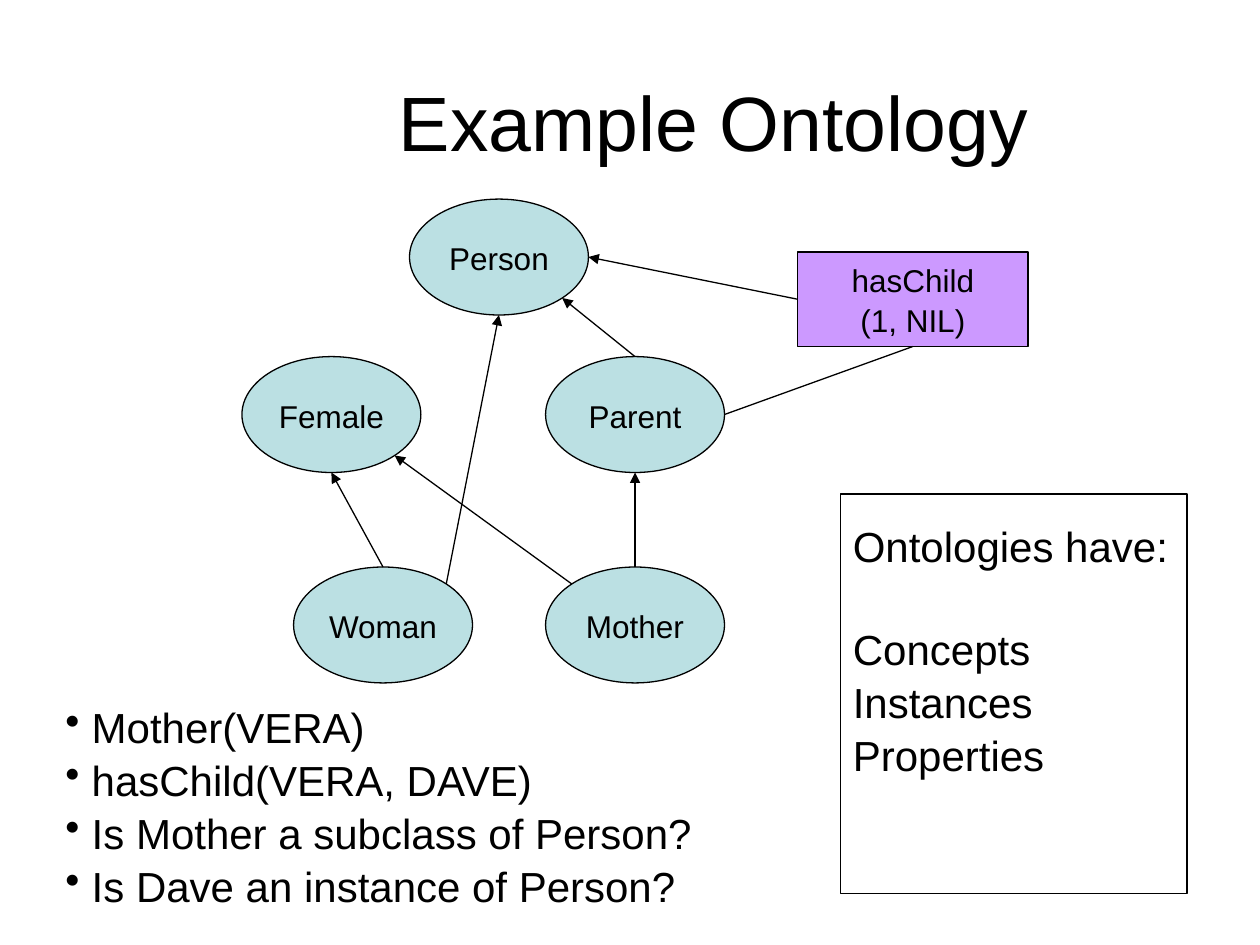
from dataclasses import dataclass
from math import sqrt

from lxml import etree
from pptx import Presentation
from pptx.dml.color import RGBColor
from pptx.enum.shapes import MSO_CONNECTOR, MSO_SHAPE
from pptx.enum.text import MSO_ANCHOR, PP_ALIGN
from pptx.oxml.ns import qn
from pptx.util import Inches, Pt

OVAL, RECTANGLE = MSO_SHAPE.OVAL, MSO_SHAPE.RECTANGLE
STRAIGHT = MSO_CONNECTOR.STRAIGHT
MIDDLE, TOP = MSO_ANCHOR.MIDDLE, MSO_ANCHOR.TOP
CENTER, LEFT = PP_ALIGN.CENTER, PP_ALIGN.LEFT


@dataclass(frozen=True)
class Theme:
    font: str = "Arial"
    ink: RGBColor = RGBColor(0x00, 0x00, 0x00)
    concept: RGBColor = RGBColor(0xBB, 0xE0, 0xE3)
    relation: RGBColor = RGBColor(0xCC, 0x99, 0xFF)
    title_size: int = 44
    body_size: int = 24
    label_size: int = 18
    line_width: float = 0.75
    line_spacing: float = 1.05


THEME = Theme()
CONCEPT_SIZE = (1.42, 0.92)
CONCEPTS = {
    "Person": (3.25, 1.58),
    "Female": (1.92, 2.83),
    "Woman": (2.33, 4.5),
    "Mother": (4.33, 4.5),
    "Parent": (4.33, 2.83),
}
# Directions from the centre of an ellipse to its connection points
DIAGONAL = 1 / sqrt(2)
SITES = {
    "top": (0, -1),
    "bottom": (0, 1),
    "right": (1, 0),
    "top left": (-DIAGONAL, -DIAGONAL),
    "top right": (DIAGONAL, -DIAGONAL),
    "bottom right": (DIAGONAL, DIAGONAL),
}
SUBCLASS_ARROWS = [
    ("Mother", "top left", "Female", "bottom right"),
    ("Mother", "top", "Parent", "bottom"),
    ("Woman", "top", "Female", "bottom"),
    ("Woman", "top right", "Person", "bottom"),
    ("Parent", "top", "Person", "bottom right"),
]
RECT_LEFT, RECT_BOTTOM = 1, 2


def write_lines(shape, lines, size, align=LEFT, anchor=MIDDLE, wrap=True):
    frame = shape.text_frame
    frame.word_wrap = wrap
    frame.vertical_anchor = anchor
    frame.text = "\n".join(lines)
    for para in frame.paragraphs:
        para.alignment = align
        para.line_spacing = THEME.line_spacing
        para.font.name = THEME.font
        para.font.size = Pt(size)
        para.font.color.rgb = THEME.ink
    return frame


def add_outlined(page, kind, box, fill=None):
    shape = page.shapes.add_shape(kind, *map(Inches, box))
    shape.shadow.inherit = False
    if fill is None:
        shape.fill.background()
    else:
        shape.fill.solid()
        shape.fill.fore_color.rgb = fill
    shape.line.color.rgb = THEME.ink
    shape.line.width = Pt(THEME.line_width)
    return shape


def add_link(page, start, end, arrow=True):
    link = page.shapes.add_connector(STRAIGHT, *map(Inches, (*start, *end)))
    link.line.color.rgb = THEME.ink
    link.line.width = Pt(THEME.line_width)
    if arrow:
        line = link.line._get_or_add_ln()
        etree.SubElement(line, qn("a:tailEnd"), type="triangle")
    etree.SubElement(link._element.spPr, qn("a:effectLst"))
    return link


def site_point(concept, site):
    """Return the place, in inches, of a connection point on a concept."""
    return tuple(
        start + length / 2 * (1 + step)
        for start, length, step in zip(CONCEPTS[concept], CONCEPT_SIZE, SITES[site])
    )


def add_title(page, box):
    title = page.shapes.add_textbox(*map(Inches, box))
    write_lines(title, ["Example Ontology"], THEME.title_size, CENTER)


def add_concept_graph(page):
    for name, corner in CONCEPTS.items():
        oval = add_outlined(page, OVAL, (*corner, *CONCEPT_SIZE), THEME.concept)
        write_lines(oval, [name], THEME.label_size, CENTER, wrap=False)
    for child, child_site, parent, parent_site in SUBCLASS_ARROWS:
        add_link(page, site_point(child, child_site), site_point(parent, parent_site))


def add_relation(page, box):
    """Add the hasChild box and its links to Parent and Person."""
    left, top, width, height = box
    relation = add_outlined(page, RECTANGLE, box, THEME.relation)
    write_lines(relation, ["hasChild", "(1, NIL)"], THEME.label_size, CENTER, wrap=False)
    domain = add_link(page, site_point("Parent", "right"),
                      (left + width / 2, top + height), arrow=False)
    domain.end_connect(relation, RECT_BOTTOM)
    target = add_link(page, (left, top + height / 2), site_point("Person", "right"))
    target.begin_connect(relation, RECT_LEFT)


def add_facts(page, box):
    facts = page.shapes.add_textbox(*map(Inches, box))
    lines = [
        "Mother(VERA)",
        "hasChild(VERA, DAVE)",
        "Is Mother a subclass of Person?",
        "Is Dave an instance of Person?",
    ]
    frame = write_lines(facts, lines, THEME.body_size, anchor=TOP)
    indent = Inches(0.21)
    for para in frame.paragraphs:
        props = para._p.get_or_add_pPr()
        props.set("marL", str(indent))
        props.set("indent", str(-indent))
        bullet = etree.Element(qn("a:buChar"), char="•")
        props.find(qn("a:defRPr")).addprevious(bullet)


def add_summary(page, box):
    panel = add_outlined(page, RECTANGLE, box)
    lines = ["Ontologies have:", "Concepts", "Instances", "Properties"]
    frame = write_lines(panel, lines, THEME.body_size, anchor=TOP)
    frame.margin_top = Inches(0.19)
    frame.paragraphs[1].space_before = Pt(29)


def main():
    deck = Presentation()
    deck.slide_width, deck.slide_height = Inches(10), Inches(7.5)
    page = deck.slides.add_slide(deck.slide_layouts[6])
    add_title(page, (1.83, 0.3, 7.67, 1.28))
    add_concept_graph(page)
    add_relation(page, (6.33, 2, 1.83, 0.75))
    add_facts(page, (0.42, 5.5, 5.67, 2))
    add_summary(page, (6.67, 3.92, 2.75, 3.17))
    deck.save("out.pptx")


if __name__ == "__main__":
    main()
